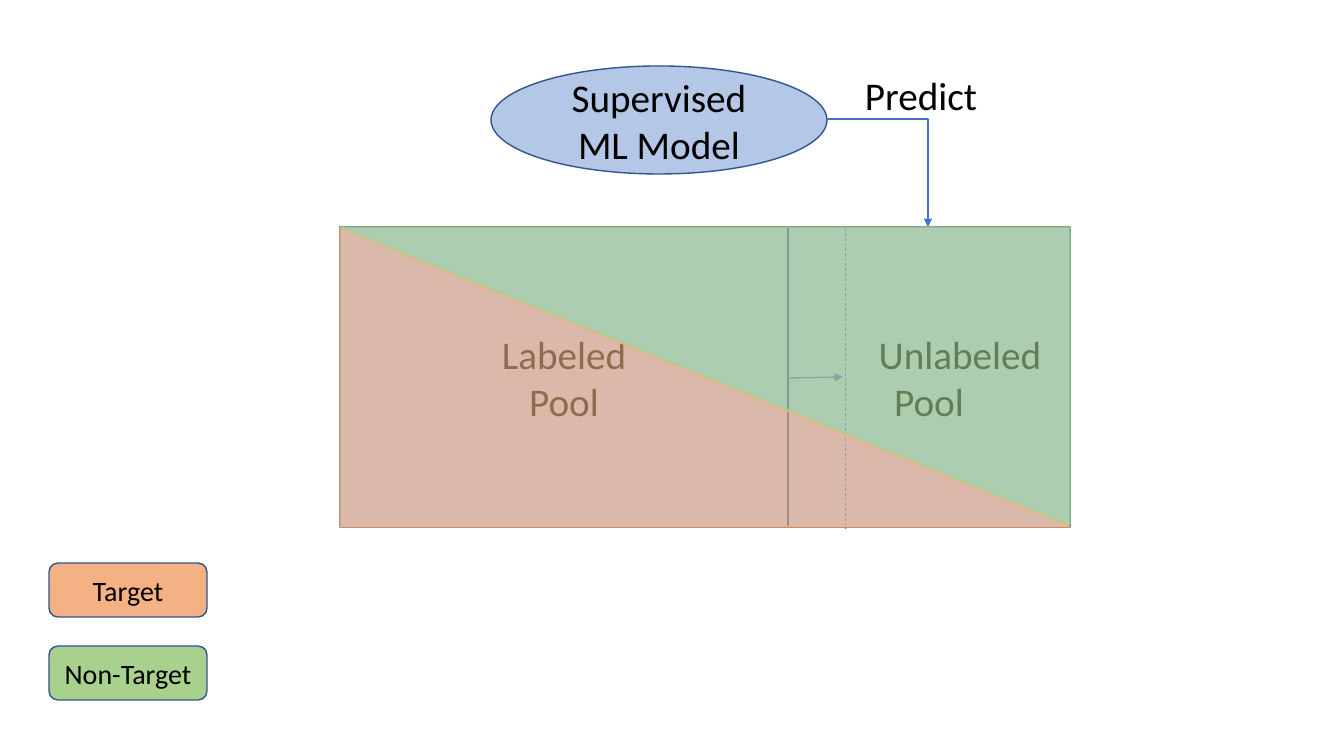
from lxml import etree
from pptx import Presentation, util as u
from pptx.dml.color import RGBColor
from pptx.enum import dml, shapes, text
from pptx.oxml.ns import qn

SCALE = 914400 / 100.8  # EMU per pixel
PALE_BLUE = RGBColor(0xB4, 0xC7, 0xE7)
NAVY = RGBColor(0x32, 0x54, 0x91)
BLUE = RGBColor(0x44, 0x72, 0xC4)
ORANGE = RGBColor(0xF4, 0xB1, 0x83)
GREEN = RGBColor(0xA9, 0xD1, 0x8E)
BLACK = RGBColor(0, 0, 0)

KIND = shapes.MSO_SHAPE
LINK = shapes.MSO_CONNECTOR


def px(*lengths):
    """Turn pixel lengths into EMU."""
    return [u.Emu(round(length * SCALE)) for length in lengths]


def write(shape, wording, size=28, color=BLACK, indents=()):
    """Fill a shape with centred lines, with optional left indents in pixels."""
    frame = shape.text_frame
    frame.vertical_anchor = text.MSO_ANCHOR.MIDDLE
    frame.word_wrap = True
    frame.text = wording
    for paragraph in frame.paragraphs:
        paragraph.alignment = text.PP_ALIGN.CENTER
        font = paragraph.runs[0].font
        font.name, font.size, font.color.rgb = "Calibri", u.Pt(size), color
    for paragraph, indent in zip(frame.paragraphs, indents):
        paragraph._p.get_or_add_pPr().set("marL", str(px(indent)[0]))


presentation = Presentation()
presentation.slide_width, presentation.slide_height = px(1344, 756)
slide = presentation.slides.add_slide(presentation.slide_layouts[6])

# Pools, model, class triangles and legend, from back to front
POOL_LEFT, POOL_TOP, SPLIT, POOL_RIGHT = 340, 227, 788, 1070
POOL_WIDTH = POOL_RIGHT - POOL_LEFT
blocks = [
    (KIND.RECTANGLE, (POOL_LEFT, POOL_TOP, SPLIT - POOL_LEFT, 300),
     PALE_BLUE, NAVY, "Labeled\nPool", {}),
    (KIND.OVAL, (491, 66, 336, 108), PALE_BLUE, NAVY, "Supervised\nML Model", {}),
    (KIND.RECTANGLE, (SPLIT, POOL_TOP, POOL_RIGHT - SPLIT, 300),
     PALE_BLUE, NAVY, "Unlabeled\nPool", {"indents": [62]}),
    (KIND.ISOSCELES_TRIANGLE, (POOL_LEFT, 228, POOL_WIDTH, 299), ORANGE, ORANGE, "", {}),
    (KIND.ISOSCELES_TRIANGLE, (POOL_LEFT, POOL_TOP, POOL_WIDTH, 298), GREEN, GREEN, "", {}),
    (KIND.ROUNDED_RECTANGLE, (49, 563, 158, 54), ORANGE, NAVY, "Target", {"size": 20}),
    (KIND.ROUNDED_RECTANGLE, (49, 646, 158, 54), GREEN, NAVY, "Non-Target", {"size": 20}),
]
links = [
    (LINK.STRAIGHT, (845, 228, 845, 529), 0.5, False),
    (LINK.STRAIGHT, (SPLIT, 378, 843, 377), 1, True),
    (LINK.ELBOW, (827, 119, 928, POOL_TOP), 1, True),
]

for index, (kind, box, fill, line, wording, style) in enumerate(blocks):
    if index == 3:  # the links and their label lie beneath the triangles
        for link, ends, width, has_arrow in links:
            connector = slide.shapes.add_connector(link, *px(*ends))
            connector.line.color.rgb = BLUE
            connector.line.width = u.Pt(width)
            properties = connector._element.spPr
            if has_arrow:
                etree.SubElement(connector.line._get_or_add_ln(), qn("a:tailEnd"), type="triangle")
            else:
                connector.line.dash_style = dml.MSO_LINE.DASH
            if link == LINK.ELBOW:
                properties.find(qn("a:prstGeom")).set("prst", "bentConnector2")
            etree.SubElement(properties, qn("a:effectLst"))
        label = slide.shapes.add_textbox(*px(854, 66, 134, 57))
        write(label, "Predict")
        label.text_frame.word_wrap = False
        label.text_frame.vertical_anchor = text.MSO_ANCHOR.TOP

    shape = slide.shapes.add_shape(kind, *px(*box))
    shape.shadow.inherit = False
    shape.fill.solid()
    shape.fill.fore_color.rgb = fill
    shape.line.color.rgb = line
    shape.line.width = u.Pt(1)
    if wording:
        write(shape, wording, **style)
    if kind == KIND.ISOSCELES_TRIANGLE:
        shape.adjustments[0] = 0
        shape.rotation = 180 if fill == GREEN else 0
        color = shape._element.spPr.find(qn("a:solidFill"))[0]
        etree.SubElement(color, qn("a:alpha"), val="60000")

presentation.save("out.pptx")
